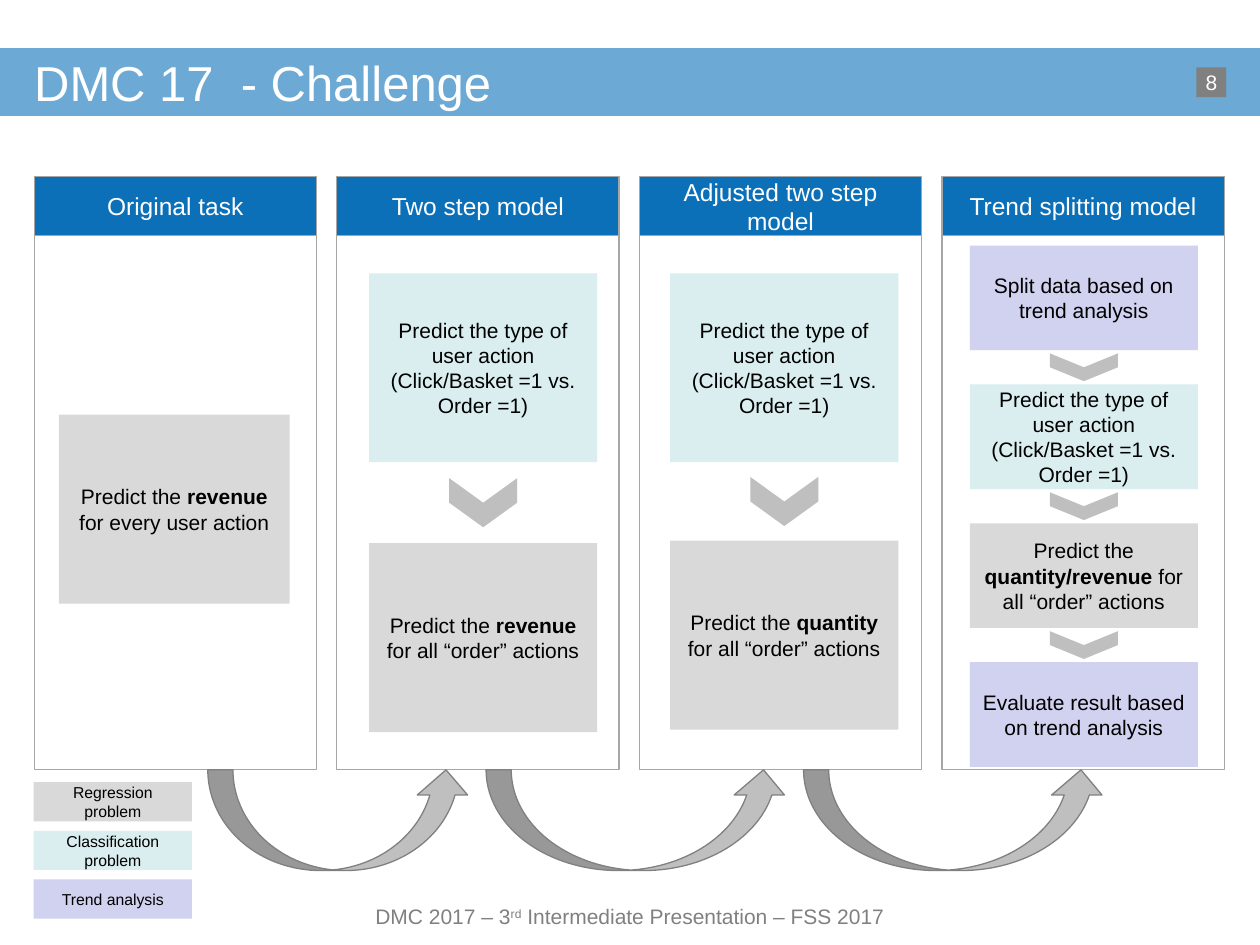
from dataclasses import dataclass
from itertools import pairwise

from lxml.etree import SubElement
from pptx import Presentation
from pptx.dml.color import RGBColor
from pptx.enum.shapes import MSO_SHAPE as Shp
from pptx.enum.text import MSO_ANCHOR as Anchor, PP_ALIGN as Align
from pptx.oxml.ns import qn
from pptx.util import Cm, Pt

COLORS = {
    "blue": "0B70B8", "white": "FFFFFF", "black": "000000",
    "border": "A6A6A6", "gray": "808080", "arrow": "BFBFBF",
    "regression": "D9D9D9", "classification": "DAEDEF", "trend": "D1D1F0",
}
FONT = "Arial"

# Column grid, in cm
COL_LEFT, COL_STEP, COL_W = 0.69, 6.1, 5.69
HEAD_TOP, HEAD_H, BODY_H = 3.56, 1.19, 10.77
BODY_TOP = HEAD_TOP + HEAD_H
BODY_BOTTOM = BODY_TOP + BODY_H


@dataclass(frozen=True)
class Run:
    text: str
    bold: bool = False
    superscript: bool = False


@dataclass(frozen=True)
class Step:
    kind: str
    runs: list[Run]


@dataclass(frozen=True)
class Column:
    title: str
    left: float
    top: float
    pitch: float
    steps: list[Step]
    width: float = 4.6
    height: float = 3.81
    chevron: float = 0.99


def rgb(name: str) -> RGBColor:
    return RGBColor.from_string(COLORS[name])


def add_text(sp, runs: list[Run], size: float, color: str = "black",
             align=Align.CENTER, inset: bool = True, wrap: bool = True) -> None:
    tf = sp.text_frame
    tf.word_wrap = wrap
    tf.vertical_anchor = Anchor.MIDDLE
    if not inset:
        tf.margin_left = tf.margin_right = tf.margin_top = tf.margin_bottom = 0
    p = tf.paragraphs[0]
    p.alignment = align
    for run in runs:
        for i, line in enumerate(run.text.split("\n")):
            if i:
                p.add_line_break()
            r = p.add_run()
            r.text = line
            r.font.name, r.font.size, r.font.bold = FONT, Pt(size), run.bold
            r.font.color.rgb = rgb(color)
            if run.superscript:
                r._r.get_or_add_rPr().set("baseline", "30000")


def add_shape(s, kind, left: float, top: float, width: float, height: float,
              fill: str | None = None, line: str | None = None):
    sp = s.shapes.add_shape(kind, Cm(left), Cm(top), Cm(width), Cm(height))
    sp.shadow.inherit = False
    if fill:
        sp.fill.solid()
        sp.fill.fore_color.rgb = rgb(fill)
    else:
        sp.fill.background()
    if line:
        sp.line.color.rgb = rgb(line)
        sp.line.width = Pt(0.75)
    else:
        sp.line.fill.background()
    return sp


def add_textbox(s, left: float, top: float, width: float, height: float,
                runs: list[Run], size: float, color: str, align) -> None:
    sp = s.shapes.add_textbox(Cm(left), Cm(top), Cm(width), Cm(height))
    add_text(sp, runs, size, color, align, inset=False)


def add_chevron(s, center_x: float, center_y: float, length: float) -> None:
    breadth = 1.37
    sp = add_shape(s, Shp.CHEVRON, center_x - length / 2, center_y - breadth / 2,
                   length, breadth, "arrow")
    sp.rotation = 90


def add_column(s, index: int, col: Column) -> None:
    x = COL_LEFT + index * COL_STEP
    head = add_shape(s, Shp.RECTANGLE, x, HEAD_TOP, COL_W, HEAD_H, "blue", "border")
    add_text(head, [Run(col.title)], 14, "white")
    add_shape(s, Shp.RECTANGLE, x, BODY_TOP, COL_W, BODY_H, line="border")

    tops = [col.top + i * col.pitch for i in range(len(col.steps))]
    for step, top in zip(col.steps, tops):
        card = add_shape(s, Shp.RECTANGLE, col.left, top, col.width, col.height, step.kind)
        add_text(card, step.runs, 12)
    # A chevron sits in the middle of each gap between cards
    for upper, lower in pairwise(tops):
        add_chevron(s, col.left + col.width / 2, (upper + col.height + lower) / 2, col.chevron)


def predict(target: str, scope: str) -> Step:
    return Step("regression", [Run("Predict the "), Run(target, bold=True), Run(f" for {scope}")])


ORDERS = "all “order” actions"
CLASSIFY = Step("classification", [
    Run("Predict the type of user action (Click/Basket =1 vs.\nOrder =1)")])

COLUMNS = [
    Column("Original task", 1.19, 8.36, 0, [predict("revenue", "every user action")], width=4.65),
    Column("Two step model", 7.44, 5.51, 5.44, [CLASSIFY, predict("revenue", ORDERS)]),
    Column("Adjusted two step model", 13.51, 5.51, 5.39, [CLASSIFY, predict("quantity", ORDERS)]),
    Column("Trend splitting model", 19.55, 4.95, 2.8, [
        Step("trend", [Run("Split data based on trend analysis")]),
        CLASSIFY,
        predict("quantity/revenue", ORDERS),
        Step("trend", [Run("Evaluate result based on trend analysis")]),
    ], height=2.11, chevron=0.56),
]
LEGEND = [("regression", "Regression problem"),
          ("classification", "Classification problem"),
          ("trend", "Trend analysis")]
CURVED_ARROWS = [(4.19, 5.31), (9.8, 6.1), (16.2, 6.1)]  # left, width


def main() -> None:
    prs = Presentation()
    prs.slide_width, prs.slide_height = Cm(25.4), Cm(19.05)
    s = prs.slides.add_slide(prs.slide_layouts[6])

    # Title bar, footer and page number
    bar = add_shape(s, Shp.RECTANGLE, 0, 0.97, 25.4, 1.37, "blue")
    color = bar.fill._xPr.find(f".//{qn('a:srgbClr')}")
    SubElement(color, qn("a:alpha"), val="60000")
    add_textbox(s, 0.69, 0.97, 24, 1.37, [Run("DMC 17  - Challenge")], 28, "white", Align.LEFT)
    add_textbox(s, 6.7, 18.12, 12, 0.7, [
        Run("DMC 2017 – 3"), Run("rd", superscript=True),
        Run(" Intermediate Presentation – FSS 2017")], 12, "gray", Align.CENTER)
    page = add_shape(s, Shp.RECTANGLE, 24.12, 1.36, 0.6, 0.6, "gray")
    add_text(page, [Run("8")], 12, "white", inset=False, wrap=False)

    # Model columns
    for i, col in enumerate(COLUMNS):
        add_column(s, i, col)

    # Arrows from one model to the next
    for left, width in CURVED_ARROWS:
        add_shape(s, Shp.CURVED_UP_ARROW, left, BODY_BOTTOM, width, 2.03, "arrow", "gray")

    # Legend
    for i, (kind, label) in enumerate(LEGEND):
        key = add_shape(s, Shp.RECTANGLE, 0.68, 15.77 + i * 0.98, 3.19, 0.79, kind)
        add_text(key, [Run(label)], 9)

    prs.save("out.pptx")


if __name__ == "__main__":
    main()
